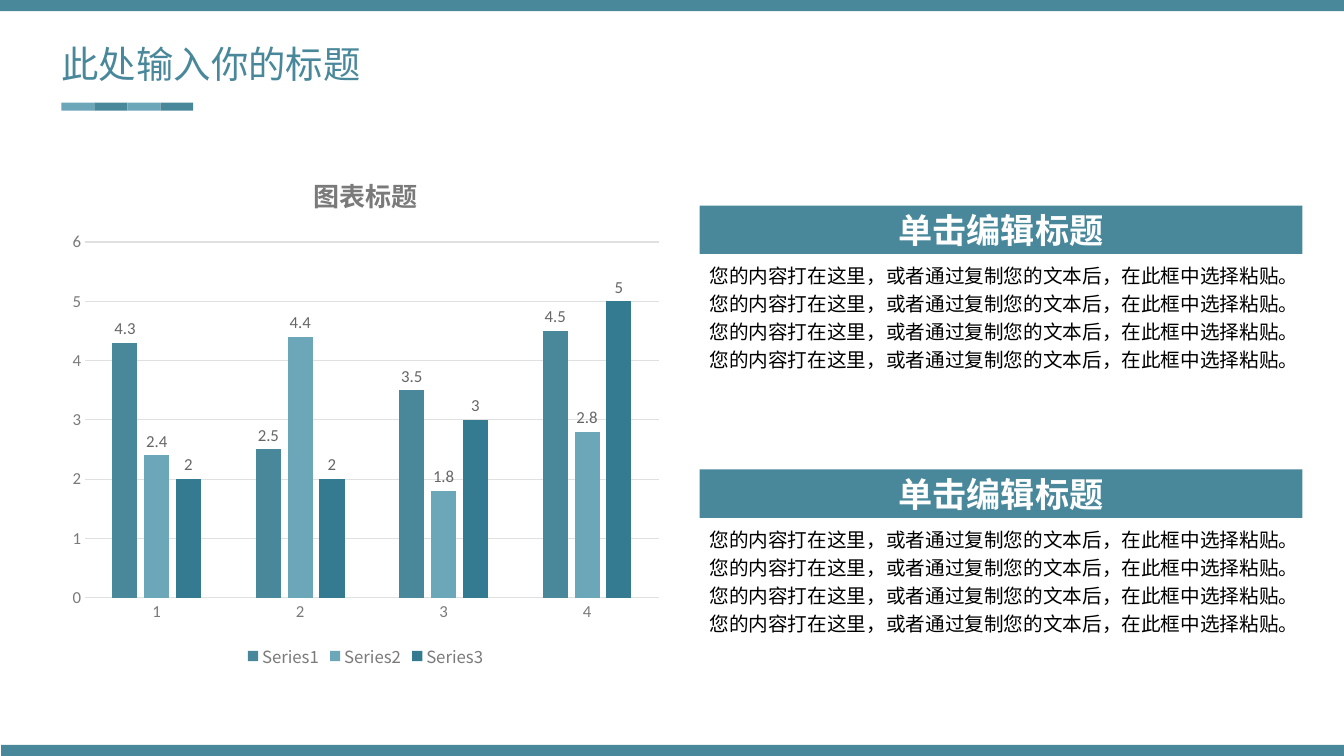
from lxml.etree import SubElement
from pptx import Presentation
from pptx.chart.data import CategoryChartData
from pptx.dml.color import RGBColor
from pptx.enum.chart import XL_CHART_TYPE, XL_LABEL_POSITION, XL_LEGEND_POSITION, XL_TICK_MARK
from pptx.enum.shapes import MSO_SHAPE
from pptx.enum.text import MSO_ANCHOR, PP_ALIGN
from pptx.oxml.ns import qn
from pptx.util import Cm, Pt

TITLE = "此处输入你的标题"
CHART_TITLE = "图表标题"
CATEGORIES = ["1", "2", "3", "4"]
SERIES = {
    "Series1": [4.3, 2.5, 3.5, 4.5],
    "Series2": [2.4, 4.4, 1.8, 2.8],
    "Series3": [2, 2, 3, 5],
}
SENTENCE = "您的内容打在这里，或者通过复制您的文本后，在此框中选择粘贴。"
CARDS = [
    {"heading": "单击编辑标题", "body": SENTENCE * 4, "height": 3.91},
    {"heading": "单击编辑标题", "body": SENTENCE * 4, "height": 3.07},
]

CJK = "Noto Sans CJK SC"
THEME = {
    "teal": "49889B",
    "light": "6BA6B9",
    "deep": "347A91",
    "grid": "E0E0E0",
    "title": {"size": 26.7, "name": CJK, "color": "49889B"},
    "heading": {"size": 24.4, "name": CJK, "color": "FFFFFF", "bold": True},
    "body": {"size": 14, "name": "Arial", "color": "000000"},
    "chart": {"size": 10, "name": "Calibri", "color": "333333"},
    "chart_title": {"size": 18.6, "name": CJK, "color": "7A7A7A", "bold": True},
    "axis": {"size": 12, "name": "Calibri", "color": "7A7A7A"},
    "legend": {"size": 12, "name": CJK, "color": "7A7A7A"},
    "label": {"size": 12, "name": "Calibri", "color": "666666"},
}

SLIDE_W, SLIDE_H = 33.87, 19.05
BAND_H = 0.28
TITLE_X, TITLE_Y = 1.55, 1.04
STRIPE_Y, STRIPE_W, STRIPE_H = 2.59, 0.83, 0.2
CHART_BOX = (1.52, 3.84, 15.39, 13.11)
CARD_X, CARD_Y, CARD_W, CARD_PITCH = 17.63, 5.18, 15.19, 6.65
HEADING_H = 1.22


def apply(obj, **values):
    for key, value in values.items():
        setattr(obj, key, value)


def style(font, name):
    fmt = dict(THEME[name])
    color = fmt.pop("color")
    fmt["size"] = Pt(fmt["size"])
    font.fill.solid()
    font.fill.fore_color.rgb = RGBColor.from_string(color)
    apply(font, **fmt)
    SubElement(font._rPr, qn("a:ea"), typeface=fmt["name"])


def set_line(line, color):
    line.color.rgb = RGBColor.from_string(color)
    line.width = Pt(0.75)


def add_rect(slide, box, color):
    sp = slide.shapes.add_shape(MSO_SHAPE.RECTANGLE, *map(Cm, box))
    sp.shadow.inherit = False
    sp.fill.solid()
    sp.fill.fore_color.rgb = RGBColor.from_string(color)
    sp.line.fill.background()
    return sp


def write(sp, text, name, **paragraph):
    sp.text_frame.word_wrap = True
    p = sp.text_frame.paragraphs[0]
    apply(p, **paragraph)
    r = p.add_run()
    r.text = text
    style(r.font, name)


def add_column_chart(slide):
    data = CategoryChartData()
    data.categories = CATEGORIES
    for name, values in SERIES.items():
        data.add_series(name, values)
    chart = slide.shapes.add_chart(
        XL_CHART_TYPE.COLUMN_CLUSTERED, *map(Cm, CHART_BOX), data).chart
    style(chart.font, "chart")

    chart.has_title = True
    r = chart.chart_title.text_frame.paragraphs[0].add_run()
    r.text = CHART_TITLE
    style(r.font, "chart_title")

    chart.has_legend = True
    apply(chart.legend, position=XL_LEGEND_POSITION.BOTTOM, include_in_layout=False)
    style(chart.legend.font, "legend")

    for axis in (chart.category_axis, chart.value_axis):
        apply(axis, major_tick_mark=XL_TICK_MARK.NONE, minor_tick_mark=XL_TICK_MARK.NONE)
        style(axis.tick_labels.font, "axis")
    set_line(chart.category_axis.format.line, THEME["grid"])
    apply(chart.value_axis, minimum_scale=0, maximum_scale=6, major_unit=1,
          has_major_gridlines=True)
    chart.value_axis.format.line.fill.background()
    set_line(chart.value_axis.major_gridlines.format.line, THEME["grid"])

    plot = chart.plots[0]
    apply(plot, gap_width=219, overlap=-27, vary_by_categories=False)
    for series, color in zip(plot.series, ("teal", "light", "deep")):
        series.format.fill.solid()
        series.format.fill.fore_color.rgb = RGBColor.from_string(THEME[color])
        labels = series.data_labels
        apply(labels, show_value=True, position=XL_LABEL_POSITION.OUTSIDE_END)
        style(labels.font, "label")


def add_card(slide, index, card):
    top = CARD_Y + index * CARD_PITCH
    tb = slide.shapes.add_textbox(
        *map(Cm, (CARD_X, top + HEADING_H, CARD_W - 0.05, card["height"])))
    write(tb, card["body"], "body", line_spacing=1.2)
    sp = add_rect(slide, (CARD_X, top, CARD_W, HEADING_H), THEME["teal"])
    sp.text_frame.vertical_anchor = MSO_ANCHOR.MIDDLE
    write(sp, card["heading"], "heading", alignment=PP_ALIGN.CENTER)


def main():
    prs = Presentation()
    apply(prs, slide_width=Cm(SLIDE_W), slide_height=Cm(SLIDE_H))
    slide = prs.slides.add_slide(prs.slide_layouts[6])

    for left, top in ((0, 0), (0.03, SLIDE_H - BAND_H)):
        add_rect(slide, (left, top, SLIDE_W, BAND_H), THEME["teal"])
    add_column_chart(slide)
    for index, card in enumerate(CARDS):
        add_card(slide, index, card)

    tb = slide.shapes.add_textbox(*map(Cm, (TITLE_X, TITLE_Y, 10.29, 1.14)))
    apply(tb.text_frame, margin_left=0, margin_top=0, margin_right=0, margin_bottom=0)
    write(tb, TITLE, "title")
    for i, color in enumerate(("light", "teal") * 2):
        add_rect(slide, (TITLE_X + i * STRIPE_W, STRIPE_Y, STRIPE_W, STRIPE_H), THEME[color])

    prs.save("out.pptx")


if __name__ == "__main__":
    main()
